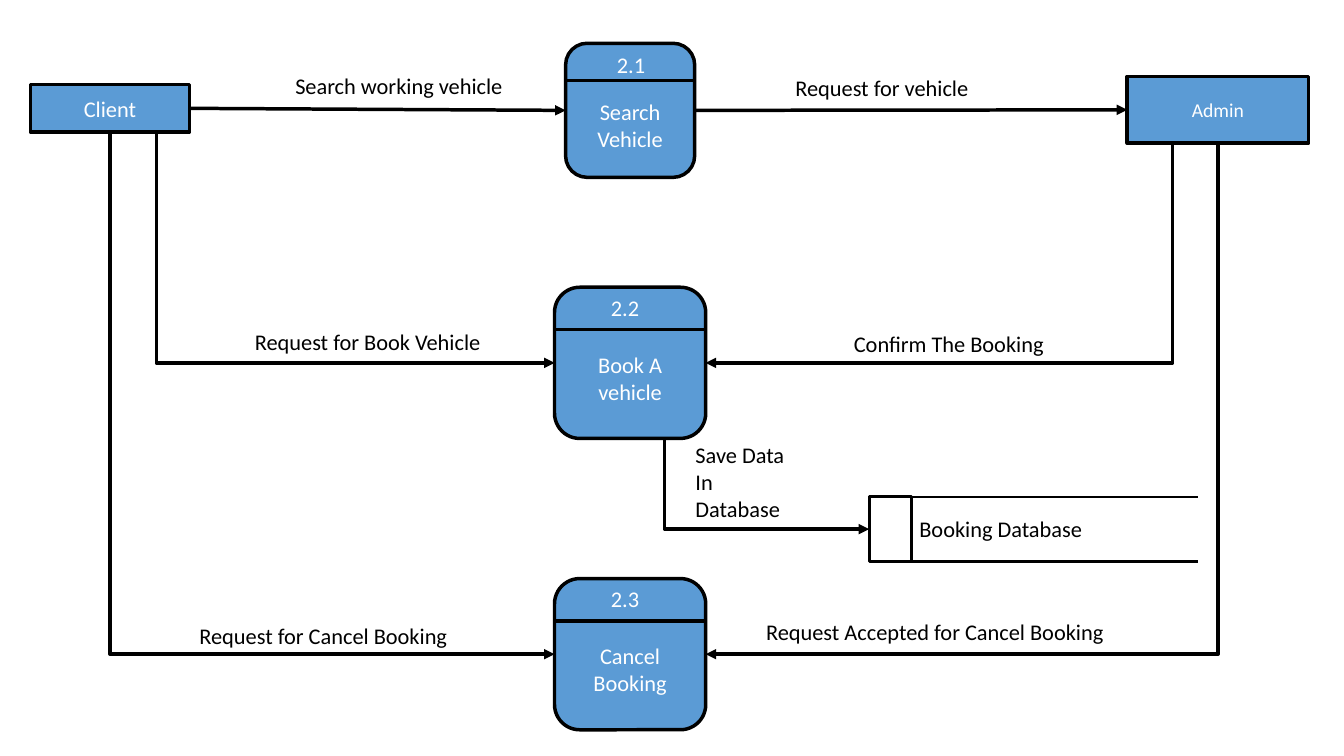
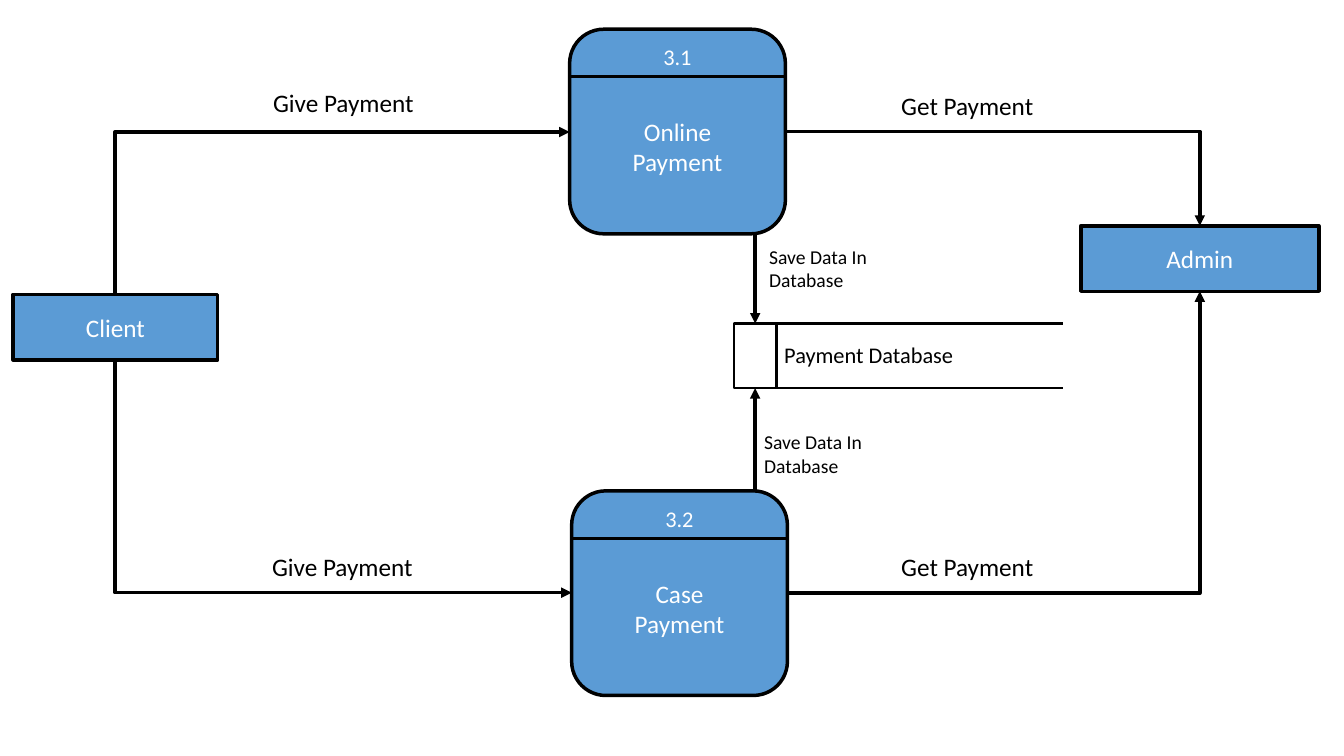
from dataclasses import dataclass

from lxml import etree
from pptx import Presentation
from pptx.dml.color import RGBColor
from pptx.enum import shapes, text
from pptx.oxml.ns import qn
from pptx.util import Inches, Pt

TOP, LEFT, BOTTOM, RIGHT = range(4)


@dataclass(frozen=True)
class Theme:
    font: str = "Calibri"
    fill: RGBColor = RGBColor(0x5B, 0x9B, 0xD5)
    ink: RGBColor = RGBColor(0, 0, 0)
    light: RGBColor = RGBColor(255, 255, 255)
    small: int = 14
    body: int = 16
    large: int = 18
    stroke: float = 2.5
    thin: float = 2


class FlowDiagram:
    """Draws data flow elements on the current slide in one style."""

    def __init__(self, theme):
        self.theme = theme
        self.prs = Presentation()
        self.prs.slide_width, self.prs.slide_height = Inches(13.33), Inches(7.5)

    def new_slide(self):
        self.slide = self.prs.slides.add_slide(self.prs.slide_layouts[6])

    def set_text(self, sp, words, size, color, align, top=0.05, anchor=text.MSO_ANCHOR.MIDDLE):
        tf = sp.text_frame
        frame = dict(word_wrap=True, vertical_anchor=anchor, margin_left=Inches(0.1),
                     margin_right=Inches(0.1), margin_top=Inches(top), margin_bottom=Inches(0.05))
        for name, value in frame.items():
            setattr(tf, name, value)
        tf.text = words
        for p in tf.paragraphs:
            p.alignment = align
            for r in p.runs:
                for name, value in dict(name=self.theme.font, size=Pt(size)).items():
                    setattr(r.font, name, value)
                r.font.color.rgb = color

    def shape(self, kind, x, y, w, h, fill=None, weight=None):
        sp = self.slide.shapes.add_shape(kind, *map(Inches, (x, y, w, h)))
        sp.shadow.inherit = False
        if fill is None:
            sp.fill.background()
        else:
            sp.fill.solid()
            sp.fill.fore_color.rgb = fill
        sp.line.color.rgb = self.theme.ink
        sp.line.width = Pt(weight or self.theme.stroke)
        return sp

    def label(self, words, x, y, w, h=0.37, size=None, color=None):
        sp = self.slide.shapes.add_textbox(*map(Inches, (x, y, w, h)))
        self.set_text(sp, words, size or self.theme.body, color or self.theme.ink,
                      text.PP_ALIGN.LEFT, anchor=text.MSO_ANCHOR.TOP)

    def entity(self, words, x, y, w, h, size):
        sp = self.shape(shapes.MSO_SHAPE.FLOWCHART_PROCESS, x, y, w, h, self.theme.fill)
        self.set_text(sp, words, size, self.theme.light, text.PP_ALIGN.CENTER)
        return sp

    def process(self, number, words, x, y, w, h, size, band, offset):
        sp = self.shape(shapes.MSO_SHAPE.ROUNDED_RECTANGLE, x, y, w, h, self.theme.fill)
        self.set_text(sp, words, size, self.theme.light, text.PP_ALIGN.CENTER, top=0.35)
        self.line((x, y + band), (x + w, y + band))
        self.label(number, x + offset[0], y + offset[1], 0.51, color=self.theme.light)
        return sp

    def store(self, words, x, y):
        w, h = 0.42, 0.64
        sp = self.shape(shapes.MSO_SHAPE.RECTANGLE, x, y, w, h, weight=self.theme.thin)
        for edge in (y, y + h):
            self.line((x + w / 2, edge), (x + 3.26, edge), weight=self.theme.thin)
        self.label(words, x + w - 0.02, y + 0.13, 2.5)
        return sp

    def line(self, start, end, arrow=False, weight=None, kind=shapes.MSO_CONNECTOR.STRAIGHT):
        """Joins two ends, each a point or a (shape, side) pair."""
        glued = [not isinstance(e[0], (int, float)) for e in (start, end)]
        points = [(0, 0) if g else e for g, e in zip(glued, (start, end))]
        c = self.slide.shapes.add_connector(kind, *(Inches(v) for pt in points for v in pt))
        if glued[0]:
            c.begin_connect(*start)
        if glued[1]:
            c.end_connect(*end)
        c.line.color.rgb = self.theme.ink
        c.line.width = Pt(weight or self.theme.stroke)
        spPr = c._element.spPr
        if arrow:
            etree.SubElement(spPr.find(qn("a:ln")), qn("a:tailEnd"), type="triangle")
        etree.SubElement(spPr, qn("a:effectLst"))
        return c

    def arrow(self, start, end):
        self.line(start, end, arrow=True)

    def elbow(self, start, end, across_first=False):
        """Draws a right-angled arrow that leaves upright unless across_first."""
        c = self.line(start, end, arrow=True, kind=shapes.MSO_CONNECTOR.ELBOW)
        geom = c._element.spPr.find(qn("a:prstGeom"))
        if across_first:
            geom.set("prst", "bentConnector2")
        else:
            guides = geom.find(qn("a:avLst"))
            if guides is None:
                guides = etree.SubElement(geom, qn("a:avLst"))
            etree.SubElement(guides, qn("a:gd"), name="adj1", fmla="val 0")


def booking_slide(d):
    t = d.theme
    d.new_slide()
    client = d.entity("Client", 0.3, 0.84, 1.58, 0.47, t.body)
    admin = d.entity("Admin", 11.18, 0.76, 1.8, 0.66, t.small)
    search = d.process("2.1", "Search Vehicle", 5.61, 0.43, 1.28, 1.33, t.body, 0.37, (0.41, 0.03))
    for number, words, y in (("2.2", "Book A\nvehicle", 2.85), ("2.3", "Cancel Booking", 5.74)):
        d.process(number, words, 5.5, y, 1.5, 1.5, t.body, 0.42, (0.46, 0.02))
    d.store("Booking Database", 8.62, 4.93)

    d.arrow((client, RIGHT), (search, LEFT))
    d.arrow((search, RIGHT), (admin, LEFT))
    for client_x, admin_x, y in ((1.55, 11.63, 3.6), (1.09, 12.08, 6.49)):
        d.elbow((client_x, 1.31), (5.5, y))
        d.elbow((admin_x, 1.42), (7, y))
    d.elbow((6.59, 4.35), (8.62, 5.25))

    for words, x, y, w in (
        ("Search working vehicle", 2.83, 0.67, 2.38),
        ("Request for vehicle", 7.79, 0.69, 2.71),
        ("Request for Book Vehicle", 2.43, 3.21, 2.5),
        ("Confirm The Booking", 8.37, 3.23, 2.22),
        ("Request for Cancel Booking", 1.88, 6.12, 2.86),
        ("Request Accepted for Cancel Booking", 7.5, 6.08, 4.04),
    ):
        d.label(words, x, y, w)
    d.label("Save Data In Database", 6.8, 4.33, 1.24, 0.91)


def payment_slide(d):
    t = d.theme
    d.new_slide()
    d.entity("Client", 0.13, 2.92, 2.03, 0.65, t.large)
    admin = d.entity("Admin", 10.72, 2.24, 2.36, 0.65, t.large)
    online, case = (
        d.process(number, words, x, y, 2.14, 2.03, t.large, 0.47, (0.83, 0.09))
        for number, words, x, y in (("3.1", "Online\nPayment", 5.65, 0.29),
                                    ("3.2", "Case\nPayment", 5.67, 4.87))
    )
    store = d.store("Payment Database", 7.28, 3.21)

    d.elbow((1.14, 2.92), (5.65, 1.31))
    d.elbow((1.14, 3.57), (5.67, 5.88))
    d.elbow((online, RIGHT), (admin, TOP), across_first=True)
    d.elbow((case, RIGHT), (admin, BOTTOM), across_first=True)
    d.arrow((7.49, 2.32), (store, TOP))
    d.arrow((7.49, 4.87), (store, BOTTOM))

    for words, x, y in (("Give Payment", 2.61, 0.82), ("Get Payment", 8.84, 0.85),
                        ("Give Payment", 2.6, 5.42), ("Get Payment", 8.84, 5.42)):
        d.label(words, x, y, 2.4, 0.4, t.large)
    for x, y in ((7.53, 2.38), (7.48, 4.22)):
        d.label("Save Data In Database", x, y, 1.22, 0.57, t.small)


def main():
    d = FlowDiagram(Theme())
    booking_slide(d)
    payment_slide(d)
    d.prs.save("out.pptx")


if __name__ == "__main__":
    main()
